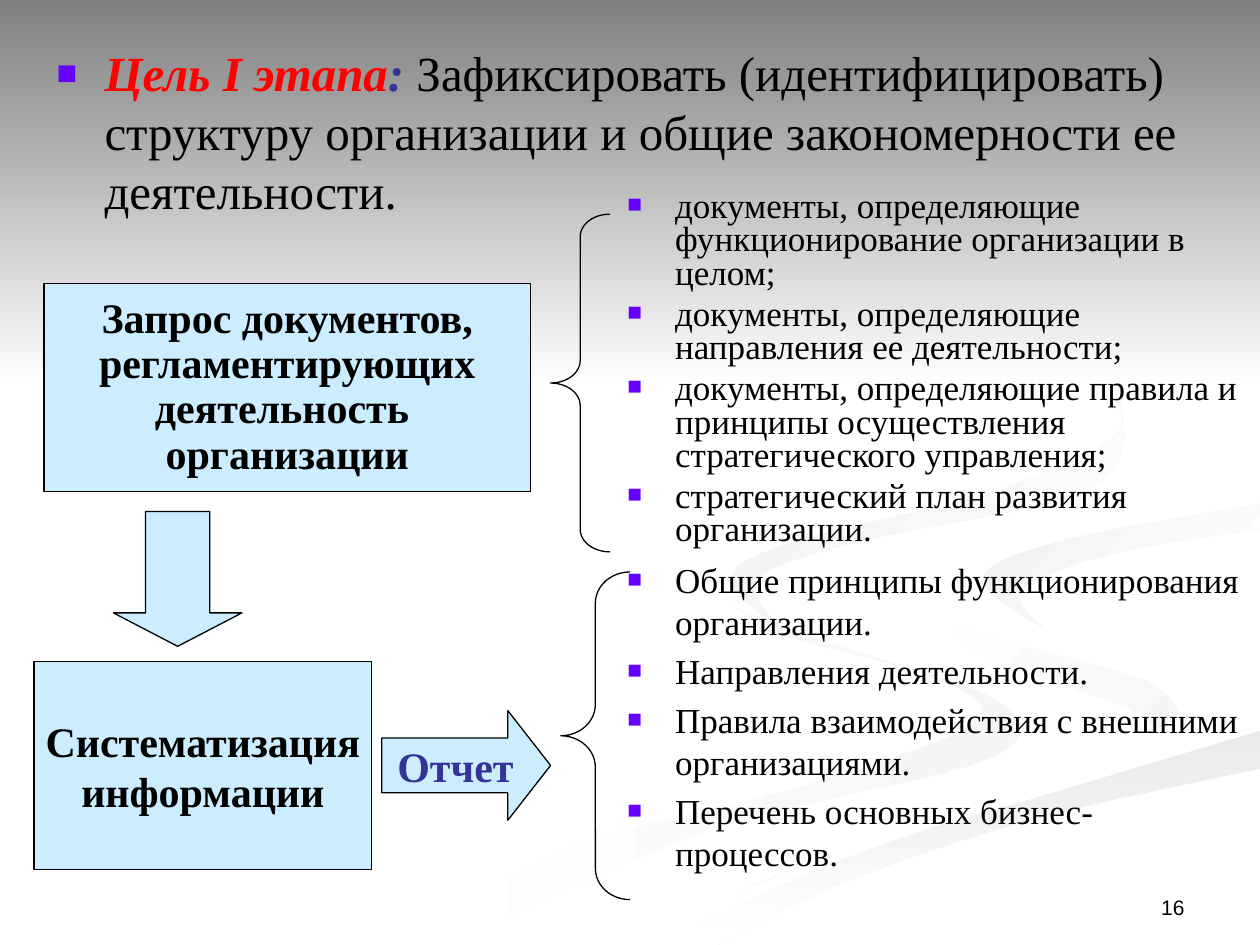
from lxml.etree import SubElement
from pptx import Presentation
from pptx.dml.color import RGBColor
from pptx.enum.shapes import MSO_SHAPE as Shape
from pptx.enum.text import MSO_ANCHOR as Anchor, PP_ALIGN as Align
from pptx.oxml.ns import qn
from pptx.util import Emu, Inches, Pt

SERIF = "Times New Roman"
BLACK, WHITE, GREY = "000000", "FFFFFF", "808080"
SKY, NAVY, RED, VIOLET = "CCECFF", "333399", "FF0000", "6600FF"
COLS, ROWS = 100, 75
STEPS = 6

RIBBONS = [
    (WHITE, "F5F5F5", 0,
     [(57, 46), (60, 49), (78, 56), (65, 62), (46, 67), (30, 75)],
     [(36, 75), (56, 66), (79, 60), (78, 55), (61, 50), (57, 46)]),
    (WHITE, "F5F5F5", 45,
     [(72, 46), (78, 52), (91, 57), (89, 61)],
     [(94, 58), (91, 54), (77, 50), (72, 46)]),
    ("EAEAEA", WHITE, 90,
     [(50, 75), (63, 69), (80, 64), (100, 58)],
     [(100, 61), (82, 65), (67, 70), (57, 75)]),
    (WHITE, WHITE, 0,
     [(100, 39), (81, 42), (73, 46), (78, 50), (94, 56), (78, 63), (48, 75)],
     [(52, 75), (70, 67), (100, 58)],
     [(100, 54), (85, 50), (78, 46), (84, 43), (100, 40)]),
    ("F1F1F1", WHITE, 45,
     [(100, 40), (84, 43), (78, 46), (83, 50)],
     [(83, 50), (81, 47), (88, 44), (100, 42)]),
    ("EDEDED", WHITE, 45,
     [(76, 23), (85, 28), (89, 34), (79, 39), (63, 43), (58, 46), (62, 50)],
     [(62, 50), (60, 46), (68, 43), (86, 39), (89, 33), (84, 27), (76, 23)]),
]

REQUESTED = [
    "документы, определяющие функционирование организации в целом;",
    "документы, определяющие направления ее деятельности;",
    "документы, определяющие правила и принципы осуществления стратегического управления;",
    "стратегический план развития организации.",
]
REPORTED = [
    "Общие принципы функционирования организации.",
    "Направления деятельности.",
    "Правила взаимодействия с внешними организациями.",
    "Перечень основных бизнес-процессов.",
]


def rgb(code):
    return RGBColor.from_string(code)


def smooth(points):
    """Return points along a Catmull-Rom curve through the given ones."""
    padded = [points[0], *points, points[-1]]
    curve = [points[0]]
    for a, b, c, d in zip(padded, padded[1:], padded[2:], padded[3:]):
        for step in range(1, STEPS + 1):
            t = step / STEPS
            curve.append(tuple(
                q + (t * (r - p) + t ** 2 * (2 * p - 5 * q + 4 * r - s)
                     + t ** 3 * (3 * q - p - 3 * r + s)) / 2
                for p, q, r, s in zip(a, b, c, d)))
    return [(min(x, COLS), min(y, ROWS)) for x, y in curve]


def write(tf, paragraphs, size=24, color=BLACK, bold=False, font=SERIF, align=Align.LEFT,
          anchor=Anchor.TOP, wrap=True, spacing=None, bullet=False):
    """Fill a frame with paragraphs, each a string or a list of (text, font overrides)."""
    tf.word_wrap, tf.vertical_anchor = wrap, anchor
    for i, content in enumerate(paragraphs):
        p = tf.paragraphs[0] if i == 0 else tf.add_paragraph()
        p.alignment, p.line_spacing = align, spacing
        if bullet:
            p.space_before = Pt(size * 0.2)
            add_bullet(p)
        for text, extra in [(content, {})] if isinstance(content, str) else content:
            look = {"color": color, "bold": bold, "italic": False, **extra}
            r = p.add_run()
            r.text = text
            r.font.name, r.font.size = font, Pt(size)
            r.font.bold, r.font.italic = look["bold"], look["italic"]
            r.font.color.rgb = rgb(look["color"])


def add_bullet(p):
    pPr = p._p.get_or_add_pPr()
    indent = Inches(0.38)
    pPr.set("marL", str(indent))
    pPr.set("indent", str(-indent))
    SubElement(SubElement(pPr, qn("a:buClr")), qn("a:srgbClr"), val=VIOLET)
    SubElement(pPr, qn("a:buSzPct"), val="70000")
    SubElement(pPr, qn("a:buFont"), typeface="Arial")
    SubElement(pPr, qn("a:buChar"), char="■")


class Deck:
    """Hold the grid, the style and the current slide."""

    def __init__(self):
        self.prs = Presentation()
        self.prs.slide_width, self.prs.slide_height = Inches(10), Inches(7.5)
        self.s = self.prs.slides.add_slide(self.prs.slide_layouts[1])
        title = self.s.shapes.title._element
        title.getparent().remove(title)

    def grid(self, x, y):
        return Emu(round(self.prs.slide_width * x / COLS)), Emu(round(self.prs.slide_height * y / ROWS))

    def box(self, x, y, w, h):
        return *self.grid(x, y), *self.grid(w, h)

    def blend(self, sp, start, end, angle):
        sp.shadow.inherit = False
        sp.line.fill.background()
        sp.fill.gradient()
        sp.fill.gradient_angle = -angle % 360
        for stop, code in zip(sp.fill.gradient_stops, (start, end)):
            stop.color.rgb = rgb(code)

    def ribbon(self, start, end, angle, *edges):
        first, *rest = [self.grid(*point) for edge in edges for point in smooth(edge)]
        builder = self.s.shapes.build_freeform(*first)
        builder.add_line_segments(rest, close=True)
        self.blend(builder.convert_to_shape(), start, end, angle)

    def band(self, area, start, end):
        self.blend(self.s.shapes.add_shape(Shape.RECTANGLE, *self.box(*area)), start, end, 90)

    def body(self, area, paragraphs, **look):
        sp = self.s.placeholders[1]
        sp.left, sp.top, sp.width, sp.height = self.box(*area)
        self.s.shapes._spTree.append(sp._element)
        write(sp.text_frame, paragraphs, **look)

    def text(self, area, paragraphs, **look):
        write(self.s.shapes.add_textbox(*self.box(*area)).text_frame, paragraphs, **look)

    def shape(self, kind, area, fill=None, adjust=(), lines=(), **look):
        sp = self.s.shapes.add_shape(kind, *self.box(*area))
        sp.shadow.inherit = False
        for i, value in enumerate(adjust):
            sp.adjustments[i] = value
        if fill:
            sp.fill.solid()
            sp.fill.fore_color.rgb = rgb(fill)
        else:
            sp.fill.background()
        sp.line.color.rgb, sp.line.width = rgb(BLACK), Pt(0.75)
        write(sp.text_frame, lines, bold=True, align=Align.CENTER, anchor=Anchor.MIDDLE,
              wrap=False, **look)


def main():
    deck = Deck()
    for ribbon in RIBBONS:
        deck.ribbon(*ribbon)
    deck.band((0, 0, COLS, 30.8), GREY, WHITE)
    deck.text((71.7, 68.3, 23.3, 5.2), ["16"], size=12, font="Arial",
              align=Align.RIGHT, anchor=Anchor.BOTTOM)
    accent = {"bold": True, "italic": True}
    deck.body((3.5, 2.9, 93.7, 8.7), [[
        ("Цель I этапа", {"color": RED, **accent}),
        (": ", {"color": NAVY, **accent}),
        ("Зафиксировать (идентифицировать) структуру организации и общие "
         "закономерности ее деятельности.", {}),
    ]], size=28, bullet=True)
    deck.shape(Shape.RECTANGLE, (3.5, 22.5, 38.6, 16.5), SKY, spacing=0.9, lines=[
        "Запрос документов,", "регламентирующих", "деятельность ", "организации"])
    deck.shape(Shape.RECTANGLE, (2.7, 52.5, 26.8, 16.5), SKY,
               lines=["Систематизация", "информации"])
    deck.text((48.8, 14.7, 51.2, 32.3), REQUESTED, size=20, spacing=0.8, bullet=True)
    deck.shape(Shape.LEFT_BRACE, (43.7, 17, 4.7, 26.8), adjust=(0.38, 0.5))
    deck.shape(Shape.DOWN_ARROW, (9, 40.6, 10.2, 10.7), SKY, adjust=(0.5, 0.26))
    deck.text((48.8, 43.8, 51.2, 27.6), REPORTED, size=20, bullet=True)
    deck.shape(Shape.RIGHT_ARROW, (30.3, 56.4, 13.4, 8.7), SKY, adjust=(0.5, 0.39),
               lines=["Отчет"], color=NAVY)
    deck.shape(Shape.LEFT_BRACE, (44.5, 45.4, 5.5, 26), adjust=(0.45, 0.5))
    deck.prs.save("out.pptx")


if __name__ == "__main__":
    main()
